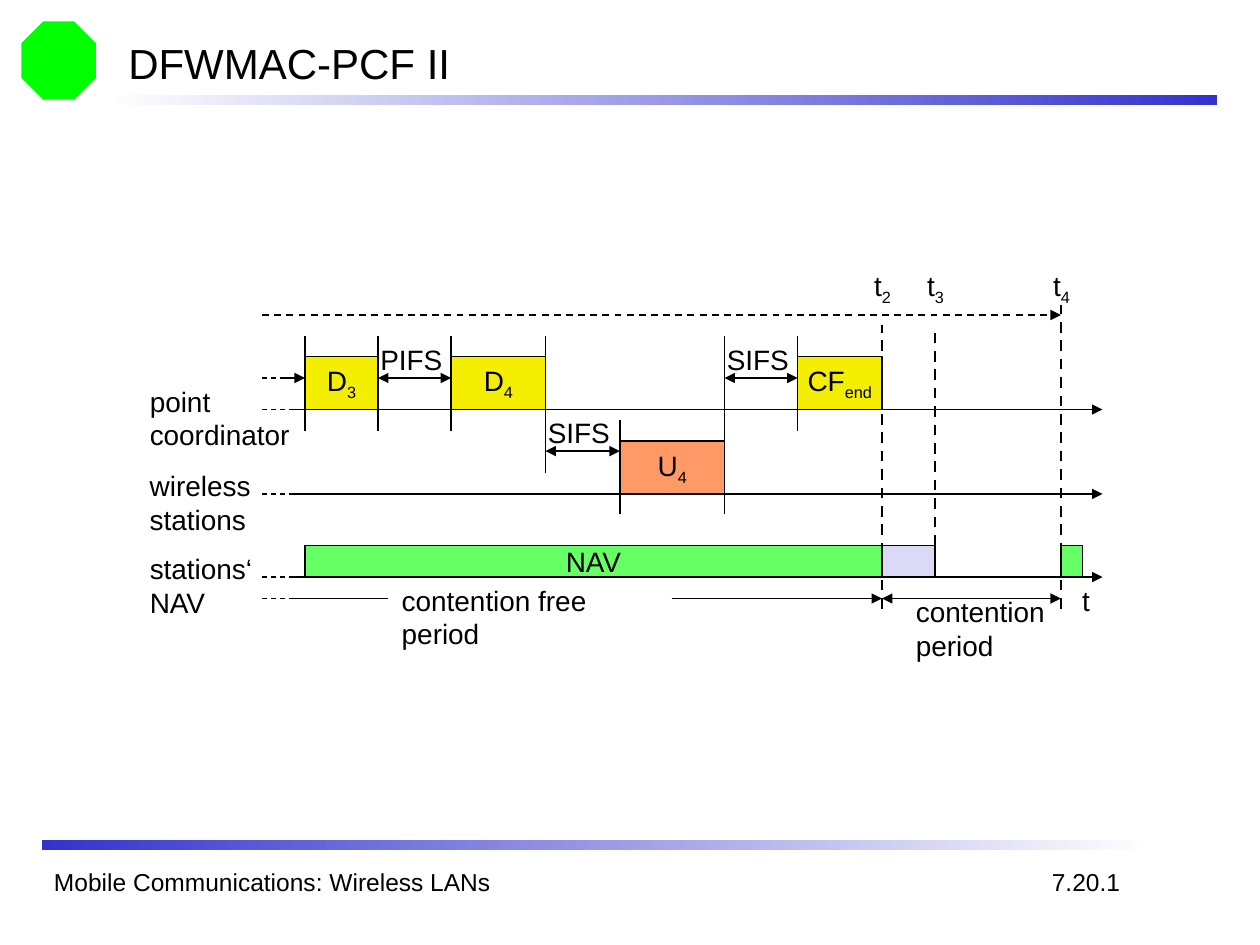
"""Build the DFWMAC-PCF II timing diagram slide."""
from lxml import etree
from pptx import Presentation
from pptx import util as u
from pptx.dml.color import RGBColor
from pptx.enum import dml, shapes, text
from pptx.oxml import ns

THEME = {
    "font": "Arial", "title": 24, "body": 16, "footer": 14,
    "ink": "000000", "paper": "FFFFFF", "bar": "3333CC", "emblem": "00FF00",
    "poll": "F4EE00", "uplink": "FF9966", "nav": "66FF66", "extended": "DADAF6",
    "thin": 0.75, "medium": 1, "thick": 1.5,
}


def write(shape, wording, size="body", wrap=False, **format_values):
    """Write paragraphs split by newlines, with a subscript after an underscore."""
    frame = shape.text_frame
    for name, value in {"word_wrap": wrap, **format_values}.items():
        setattr(frame, name, value)
    for index, line in enumerate(wording.split("\n")):
        para = frame.add_paragraph() if index else frame.paragraphs[0]
        if shape.shape_type == shapes.MSO_SHAPE_TYPE.AUTO_SHAPE:
            para.alignment = text.PP_ALIGN.CENTER
        for position, part in enumerate(line.split("_")):
            span = para.add_run()
            span.text = part
            font_values = {"name": THEME["font"], "size": u.Pt(THEME[size])}
            for name, value in font_values.items():
                setattr(span.font, name, value)
            span.font.color.rgb = RGBColor.from_string(THEME["ink"])
            if position:
                span.font._element.set("baseline", "-25000")


def draw_line(start, end, arrows="", weight="thin", dashed=False):
    """Draw a line with arrowheads at the named ends."""
    line = page.shapes.add_connector(
        shapes.MSO_CONNECTOR.STRAIGHT, *(u.Inches(v) for v in (*start, *end)))
    line.line.color.rgb = RGBColor.from_string(THEME["ink"])
    line.line.width = u.Pt(THEME[weight])
    if dashed:
        line.line.dash_style = dml.MSO_LINE.DASH
    outline = line.line._get_or_add_ln()
    for end_name in arrows.split():
        etree.SubElement(outline, ns.qn(f"a:{end_name}"), type="triangle")
    etree.SubElement(line._element.spPr, ns.qn("a:effectLst"))


deck = Presentation()
deck.slide_width, deck.slide_height = u.Inches(10), u.Inches(7.5)
page = deck.slides.add_slide(deck.slide_layouts[6])

emblem = page.shapes.add_shape(
    shapes.MSO_SHAPE.OCTAGON, *(u.Inches(v) for v in (0.17, 0.17, 0.59, 0.62)))
emblem.shadow.inherit = False
emblem.fill.solid()
emblem.fill.fore_color.rgb = RGBColor.from_string(THEME["emblem"])
emblem.line.fill.background()

for left, top, colors in ((0.83, 0.75, ("paper", "bar")), (0.33, 6.67, ("bar", "paper"))):
    rule = page.shapes.add_shape(
        shapes.MSO_SHAPE.RECTANGLE, *(u.Inches(v) for v in (left, top, 8.83, 0.08)))
    rule.shadow.inherit = False
    rule.line.fill.background()
    rule.fill.gradient()
    rule.fill.gradient_angle = 0
    for stop, position, color in zip(rule.fill.gradient_stops, (0, 1), colors):
        stop.position = position
        stop.color.rgb = RGBColor.from_string(THEME[color])

coordinator, stations, nav = 3.25, 3.92, 4.58
cf_end, nav_end, next_frame = 7, 7.42, 8.42
axis_start, dash_start, axis_end = 2.33, 2.08, 8.75
period = 4.75

frames = (
    (2.42, 3, coordinator, 0.42, "poll", "D_3"),
    (3.58, 4.33, coordinator, 0.42, "poll", "D_4"),
    (4.92, 5.75, stations, 0.42, "uplink", "U_4"),
    (6.33, cf_end, coordinator, 0.42, "poll", "CF_end"),
    (2.42, cf_end, nav, 0.25, "nav", "NAV"),
    (cf_end, nav_end, nav, 0.25, "extended", ""),
    (next_frame, 8.59, nav, 0.25, "nav", ""),
)
for left, right, base, height, color, wording in frames:
    box = page.shapes.add_shape(
        shapes.MSO_SHAPE.RECTANGLE,
        *(u.Inches(v) for v in (left, base - height, right - left, height)))
    box.shadow.inherit = False
    box.fill.solid()
    box.fill.fore_color.rgb = RGBColor.from_string(THEME[color])
    box.line.color.rgb = RGBColor.from_string(THEME["ink"])
    box.line.width = u.Pt(THEME["thin"])
    if wording:
        write(box, wording, vertical_anchor=text.MSO_ANCHOR.MIDDLE)

for axis in (coordinator, stations, nav):
    draw_line((axis_start, axis), (axis_end, axis), "tailEnd")
for level in (3, coordinator, stations, nav, period):
    draw_line((dash_start, level), (axis_start, level), dashed=True)

for x, top, bottom in ((2.42, 2.67, 3.42), (3, 2.67, 3.42), (3.58, 2.67, 3.42),
                       (4.33, 2.67, 3.75), (4.92, 3.33, 4.08), (5.75, 2.67, 4.08),
                       (6.33, 2.67, 3.42)):
    draw_line((x, bottom), (x, top))
for x, top, bottom in ((cf_end, 2.58, 4.83), (nav_end, 2.58, 4.33), (next_frame, 2.42, 4.83)):
    draw_line((x, bottom), (x, top), weight="thick", dashed=True)

for left, right, y in ((3, 3.58, 3), (4.33, 4.92, 3.58), (5.75, 6.33, 3),
                       (cf_end, next_frame, period)):
    draw_line((left, y), (right, y), "headEnd tailEnd")
draw_line((2.25, 3), (2.42, 3), "tailEnd")
draw_line((3.08, period), (axis_start, period))
draw_line((5.33, period), (cf_end, period), "tailEnd")
draw_line((dash_start, 2.5), (next_frame, 2.5), "tailEnd", "medium", dashed=True)

labels = (
    (1.09, 3, 1.31, 0.64, "point\ncoordinator"),
    (1.09, 3.67, 1, 0.64, "wireless\nstations"),
    (1.09, 4.33, 1.01, 0.64, "stations‘\nNAV"),
    (2.92, 2.67, 0.69, 0.37, "PIFS"),
    (4.25, 3.25, 0.69, 0.37, "SIFS"),
    (5.67, 2.67, 0.69, 0.37, "SIFS"),
    (6.84, 2.08, 0.33, 0.41, "t_2"),
    (7.26, 2.08, 0.33, 0.41, "t_3"),
    (8.26, 2.08, 0.33, 0.41, "t_4"),
    (3.09, 4.58, 2.34, 0.37, "contention free period"),
    (7.17, 4.67, 1.22, 0.64, "contention\nperiod"),
    (8.49, 4.58, 0.26, 0.37, "t"),
)
for *place, wording in labels:
    label = page.shapes.add_textbox(*(u.Inches(v) for v in place))
    write(label, wording, auto_size=text.MSO_AUTO_SIZE.SHAPE_TO_FIT_TEXT)

for place, wording, size, wrap, anchor in (
        ((0.92, 0.25, 8.5, 0.5), "DFWMAC-PCF II", "title", True, text.MSO_ANCHOR.MIDDLE),
        ((0.33, 6.83, 6.75, 0.33), "Mobile Communications: Wireless LANs", "footer", True,
         text.MSO_ANCHOR.TOP),
        ((8.25, 6.83, 0.74, 0.34), "7.20.1", "footer", False, text.MSO_ANCHOR.TOP)):
    heading = page.shapes.add_textbox(*(u.Inches(v) for v in place))
    write(heading, wording, size, wrap, vertical_anchor=anchor)

deck.save("out.pptx")
